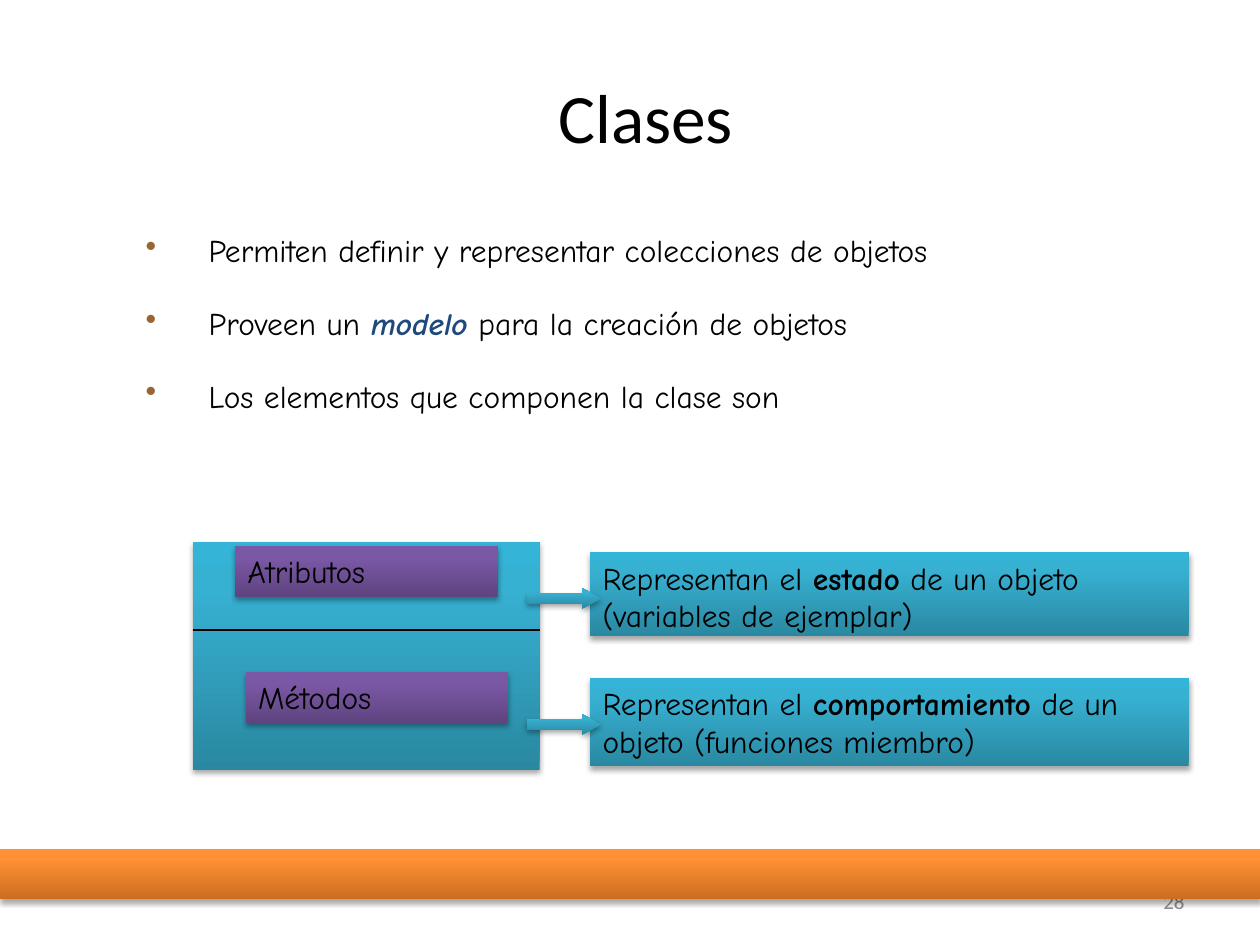
from lxml import etree
from pptx import Presentation
from pptx.dml.color import RGBColor
from pptx.enum.shapes import MSO_CONNECTOR, MSO_SHAPE
from pptx.enum.text import MSO_ANCHOR, MSO_AUTO_SIZE, PP_ALIGN
from pptx.oxml import parse_xml
from pptx.oxml.ns import qn
from pptx.util import Inches, Pt

RECT, ARROW = MSO_SHAPE.RECTANGLE, MSO_SHAPE.RIGHT_ARROW
LINE = MSO_CONNECTOR.STRAIGHT
TOP, MID = MSO_ANCHOR.TOP, MSO_ANCHOR.MIDDLE
LEFT, CENTER, RIGHT, JUST = PP_ALIGN.LEFT, PP_ALIGN.CENTER, PP_ALIGN.RIGHT, PP_ALIGN.JUSTIFY
FIXED = MSO_AUTO_SIZE.NONE

HEX = {"ink": "000000", "gray": "8C8C8C", "navy": "1F497D", "dot": "996633"}
# Gradient stops at 0, 80 and 100 %, from bottom to top
GRADS = {
    "teal": ("2A88A2", "37B1D2", "34B4D6"),
    "plum": ("5F4480", "7B58A6", "7C57A8"),
    "gold": ("CC6E20", "FF9034", "FF9136"),
}
HEAD, BODY = "Calibri", "Comic Neue"
NS = 'xmlns:a="http://schemas.openxmlformats.org/drawingml/2006/main"'
SHADE = (f'<a:effectLst {NS}><a:outerShdw blurRad="40000" dist="23000" dir="5400000" '
         'rotWithShape="0"><a:srgbClr val="000000"><a:alpha val="35000"/></a:srgbClr>'
         '</a:outerShdw></a:effectLst>')


def write(para, text, font=BODY, size=18, color="ink", bold=False, italic=False):
    run = para.add_run()
    run.text = text
    face = run.font
    face.name, face.size, face.bold, face.italic = font, Pt(size), bold, italic
    face.color.rgb = RGBColor.from_string(HEX[color])


class Deck:
    """Slide on a grid of 120 columns by 90 rows, each cell 1/12 inch."""

    def __init__(self):
        self.prs = Presentation()
        self.prs.slide_width, self.prs.slide_height = Inches(10), Inches(7.5)
        self.slide = self.prs.slides.add_slide(self.prs.slide_layouts[5])
        self.shapes = self.slide.shapes

    def grid(self, *cells):
        return [Inches(cell / 12) for cell in cells]

    def fill_text(self, shape, paras, align=LEFT, anchor=TOP, gap=0, **fmt):
        """Each paragraph is a list of (text, format) runs."""
        frame = shape.text_frame
        frame.word_wrap, frame.auto_size = True, FIXED
        frame.vertical_anchor = anchor
        for i, runs in enumerate(paras):
            para = frame.add_paragraph() if i else frame.paragraphs[0]
            para.alignment = align
            para.space_before = Pt(gap if i else 0)
            for text, extra in runs:
                write(para, text, **{**fmt, **extra})
        return frame

    def title(self, text, *box):
        shape = self.shapes.title
        shape.left, shape.top, shape.width, shape.height = self.grid(*box)
        self.fill_text(shape, [[(text, {})]], CENTER, MID, font=HEAD, size=39.6)

    def text(self, paras, *box, **fmt):
        shape = self.shapes.add_textbox(*self.grid(*box))
        return self.fill_text(shape, paras, **fmt)

    def list(self, paras, *box):
        for para in self.text(paras, *box, align=JUST, gap=20).paragraphs:
            props = para._p.get_or_add_pPr()
            props.set("marL", str(Inches(0.5)))
            props.set("indent", str(-Inches(0.5)))
            tint = etree.SubElement(props, qn("a:buClr"))
            etree.SubElement(tint, qn("a:srgbClr")).set("val", HEX["dot"])
            etree.SubElement(props, qn("a:buChar")).set("char", "•")

    def block(self, grad, *box, kind=RECT, paras=()):
        shape = self.shapes.add_shape(kind, *self.grid(*box))
        shape.line.fill.background()
        stops = "".join(f'<a:gs pos="{pos}"><a:srgbClr val="{color}"/></a:gs>'
                        for pos, color in zip((0, 80000, 100000), GRADS[grad]))
        props = shape._element.spPr
        props.find(qn("a:ln")).addprevious(parse_xml(
            f'<a:gradFill {NS} rotWithShape="1"><a:gsLst>{stops}</a:gsLst>'
            '<a:lin ang="16200000" scaled="0"/></a:gradFill>'))
        props.append(parse_xml(SHADE))
        if paras:
            return self.fill_text(shape, paras, gap=11)
        return shape

    def rule(self, *ends):
        line = self.shapes.add_connector(LINE, *self.grid(*ends))
        line.line.width = Pt(0.75)
        line.line.color.rgb = RGBColor.from_string(HEX["ink"])
        etree.SubElement(line._element.spPr, qn("a:effectLst"))


def main():
    deck = Deck()
    bold = {"bold": True}

    # Title and page number
    deck.title("Clases", 9, 7, 105, 8)
    deck.text([[("28", {})]], 86, 83.4, 28, 4.8, align=RIGHT, anchor=MID,
              font=HEAD, size=12, color="gray")

    # Bulleted list
    deck.list([
        [("Permiten definir y representar colecciones de objetos", {})],
        [("Proveen un ", {}),
         ("modelo", {"color": "navy", "bold": True, "italic": True}),
         (" para la creación de objetos", {})],
        [("Los elementos que componen la clase son", {})],
    ], 12.7, 21.4, 102, 55.8)

    # Class box with its divider
    deck.block("teal", 18.4, 51.6, 33, 21.7)
    deck.rule(18.4, 60, 51.4, 60)

    # Member labels, their meaning and the arrows between
    parts = [
        ("Atributos", 22.4, 8, [
            [("Representan el ", {}), ("estado", bold), (" de un objeto", {})],
            [("(variables de ejemplar)", {})]]),
        ("Métodos", 23.4, 8.4, [
            [("Representan el ", {}), ("comportamiento", bold),
             (" de un objeto (funciones miembro)", {})]]),
    ]
    for i, (name, left, tall, notes) in enumerate(parts):
        row = 52 + 12 * i
        deck.block("plum", left, row, 25, 4.85, paras=[[(name, {})]])
        frame = deck.block("teal", 56.2, row + 0.6, 57, tall, paras=notes)
        for para in frame.paragraphs[1:]:
            para.line_spacing = 0.4
        arrow = deck.block("teal", 50.2, row + 4, 7, 2, kind=ARROW)
        arrow.adjustments[1] = 0.875

    # Footer bar
    deck.block("gold", 0, 80.9, 120, 4.7)

    deck.prs.save("out.pptx")


if __name__ == "__main__":
    main()
